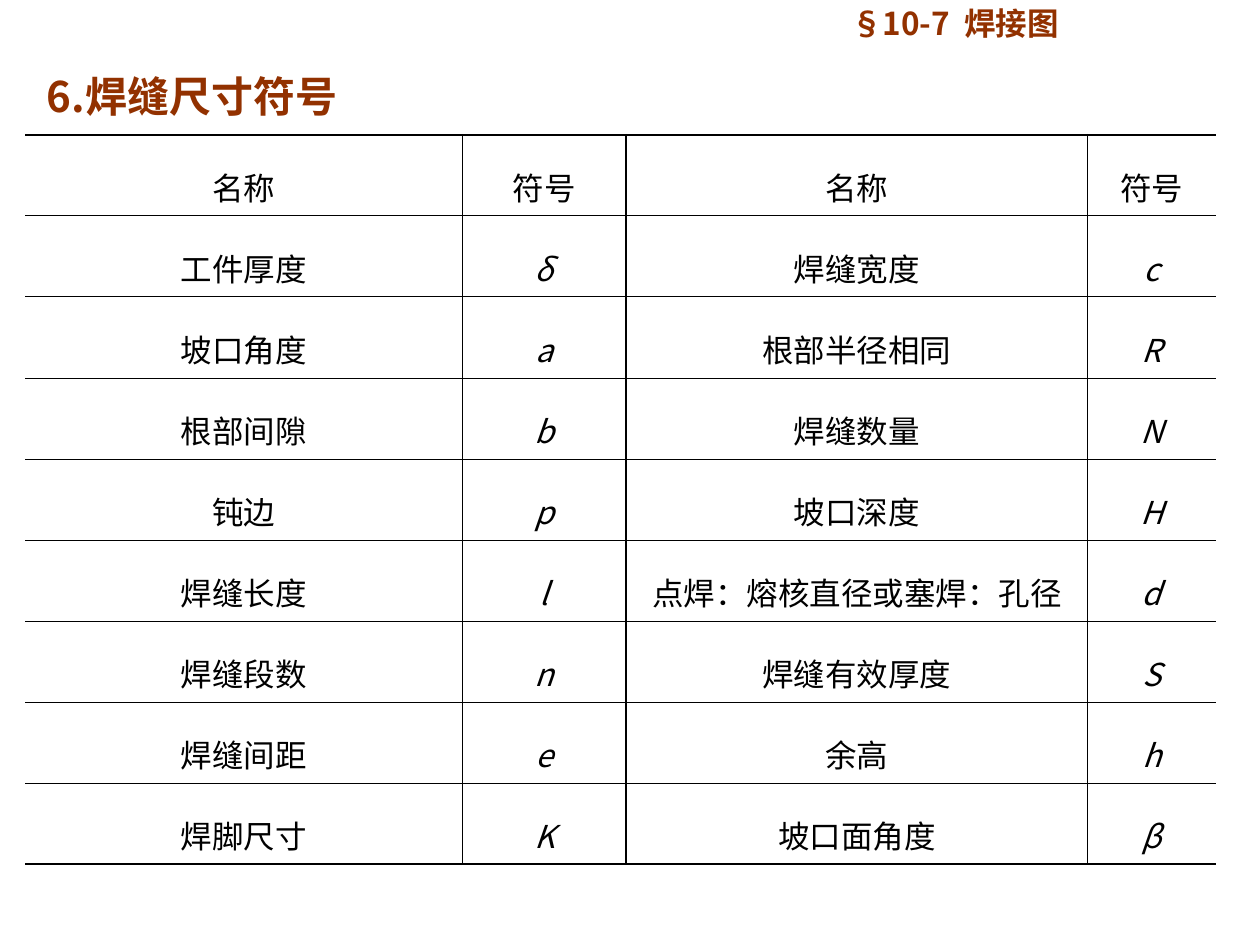
from typing import NamedTuple

from lxml import etree
from pptx import Presentation
from pptx.dml.color import RGBColor
from pptx.enum.text import MSO_ANCHOR, MSO_AUTO_SIZE, PP_ALIGN
from pptx.oxml.ns import qn
from pptx.util import Inches, Pt

LEFT = PP_ALIGN.LEFT
CENTER = PP_ALIGN.CENTER
MIDDLE = MSO_ANCHOR.MIDDLE
NO_AUTOFIT = MSO_AUTO_SIZE.NONE

TITLE_ONLY = 5
FONT = "Noto Sans CJK SC"
COLORS = {"heading": "923100", "text": "000000", "rule": "000000"}
THIN, THICK = 0.45, 1.08
COLUMN_WIDTHS = (3.47, 1.3, 3.66, 1.02)
ROW_HEIGHT = 0.63


class Area(NamedTuple):
    left: float
    top: float
    width: float
    height: float


class SymbolRow(NamedTuple):
    left_name: str
    left_symbol: str
    right_name: str
    right_symbol: str


ROWS = (
    SymbolRow("名称", "符号", "名称", "符号"),
    SymbolRow("工件厚度", "δ", "焊缝宽度", "c"),
    SymbolRow("坡口角度", "a", "根部半径相同", "R"),
    SymbolRow("根部间隙", "b", "焊缝数量", "N"),
    SymbolRow("钝边", "p", "坡口深度", "H"),
    SymbolRow("焊缝长度", "l", "点焊：熔核直径或塞焊：孔径", "d"),
    SymbolRow("焊缝段数", "n", "焊缝有效厚度", "S"),
    SymbolRow("焊缝间距", "e", "余高", "h"),
    SymbolRow("焊脚尺寸", "K", "坡口面角度", "β"),
)


def format_para(para, size: float, color: str, align, spacing: float = 1.0,
                bold: bool = False, italic: bool = False) -> None:
    para.alignment = align
    para.line_spacing = spacing
    for span in para.runs:
        font = span.font
        font.name = FONT
        font.size = Pt(size)
        font.bold = bold
        font.italic = italic
        font.color.rgb = RGBColor.from_string(COLORS[color])
        east_asian = etree.SubElement(span._r.get_or_add_rPr(), qn("a:ea"))
        east_asian.set("typeface", FONT)


def fill_heading(box, area: Area, text: str, size: float, align, spacing: float = 1.0) -> None:
    box.left, box.top, box.width, box.height = map(Inches, area)
    frame = box.text_frame
    frame.word_wrap = True
    frame.auto_size = NO_AUTOFIT
    frame.vertical_anchor = MIDDLE
    frame.text = text
    format_para(frame.paragraphs[0], size, "heading", align, spacing, bold=True)


def add_border(cell, side: str, width: float) -> None:
    line = etree.SubElement(cell._tc.get_or_add_tcPr(), qn(f"a:ln{side}"), w=str(int(Pt(width))))
    if width:
        fill = etree.SubElement(line, qn("a:solidFill"))
        etree.SubElement(fill, qn("a:srgbClr"), val=COLORS["rule"])
    else:
        etree.SubElement(line, qn("a:noFill"))


def add_symbol_table(page, left: float, top: float) -> None:
    row_count, column_count = len(ROWS), len(COLUMN_WIDTHS)
    area = Area(left, top, sum(COLUMN_WIDTHS), ROW_HEIGHT * row_count)
    table = page.shapes.add_table(row_count, column_count, *map(Inches, area)).table
    table.first_row = False
    table.horz_banding = False
    for column, width in zip(table.columns, COLUMN_WIDTHS):
        column.width = Inches(width)

    vertical_rules = (0, THIN, THICK, THIN, 0)
    horizontal_rules = (THICK, *[THIN] * (row_count - 1), THICK)
    for row, entry in enumerate(ROWS):
        table.rows[row].height = Inches(ROW_HEIGHT)
        for column, text in enumerate(entry):
            cell = table.cell(row, column)
            cell.text_frame.text = text
            is_symbol = row > 0 and column % 2 == 1
            format_para(cell.text_frame.paragraphs[0], 18, "text", CENTER, 1.5, italic=is_symbol)
            add_border(cell, "L", vertical_rules[column])
            add_border(cell, "R", vertical_rules[column + 1])
            add_border(cell, "T", horizontal_rules[row])
            add_border(cell, "B", horizontal_rules[row + 1])
            cell.fill.background()


def main() -> None:
    deck = Presentation()
    deck.slide_width, deck.slide_height = Inches(10), Inches(7.5)
    page = deck.slides.add_slide(deck.slide_layouts[TITLE_ONLY])

    fill_heading(page.shapes.title, Area(0.27, 0.52, 8.5, 0.48), "6.焊缝尺寸符号", 24, LEFT)
    add_symbol_table(page, 0.2, 1.07)
    section_area = Area(5.16, 0, 4.84, 0.42)
    section_box = page.shapes.add_textbox(*map(Inches, section_area))
    fill_heading(section_box, section_area, "§10-7  焊接图", 18, CENTER, 0.8)

    deck.save("out.pptx")


if __name__ == "__main__":
    main()
